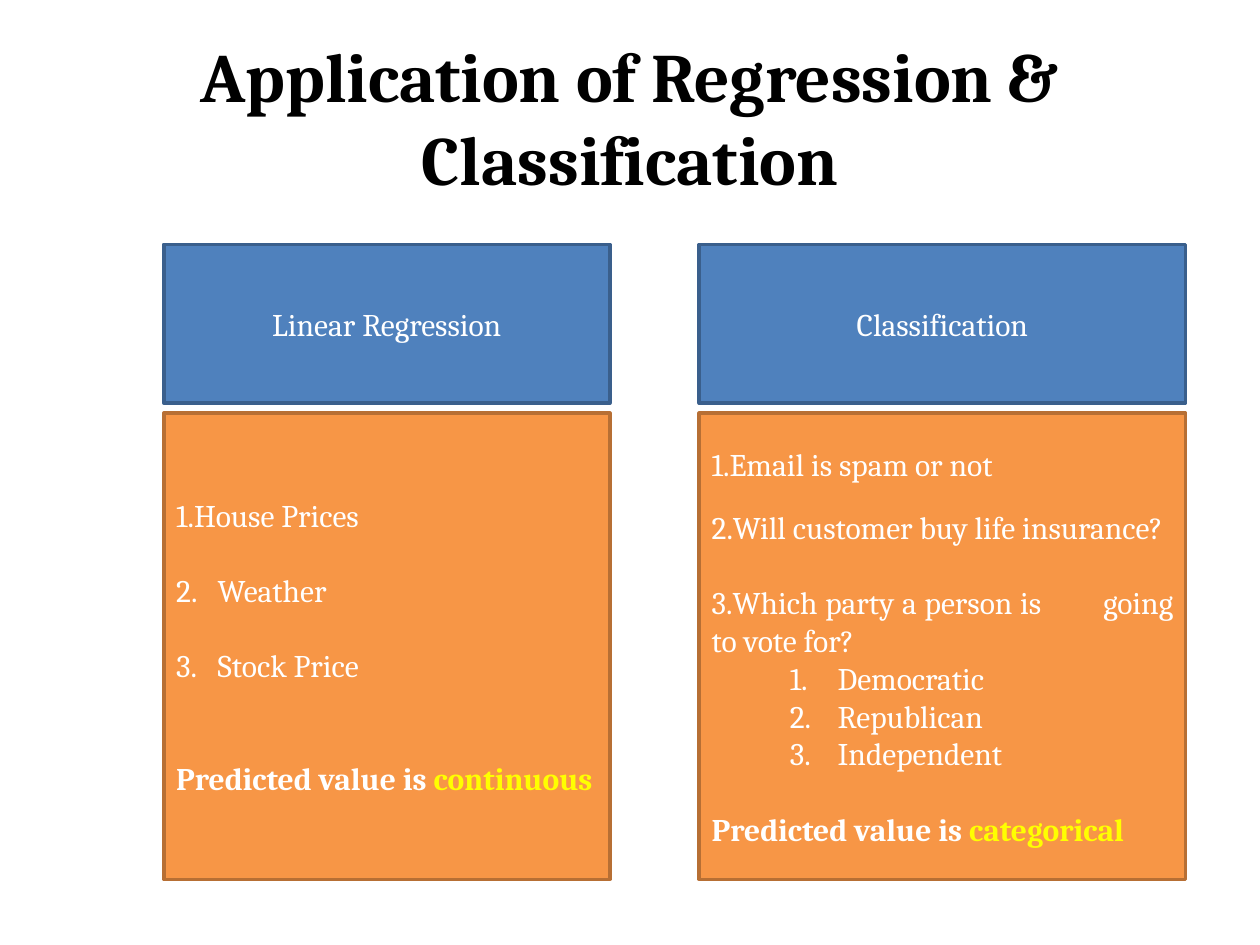
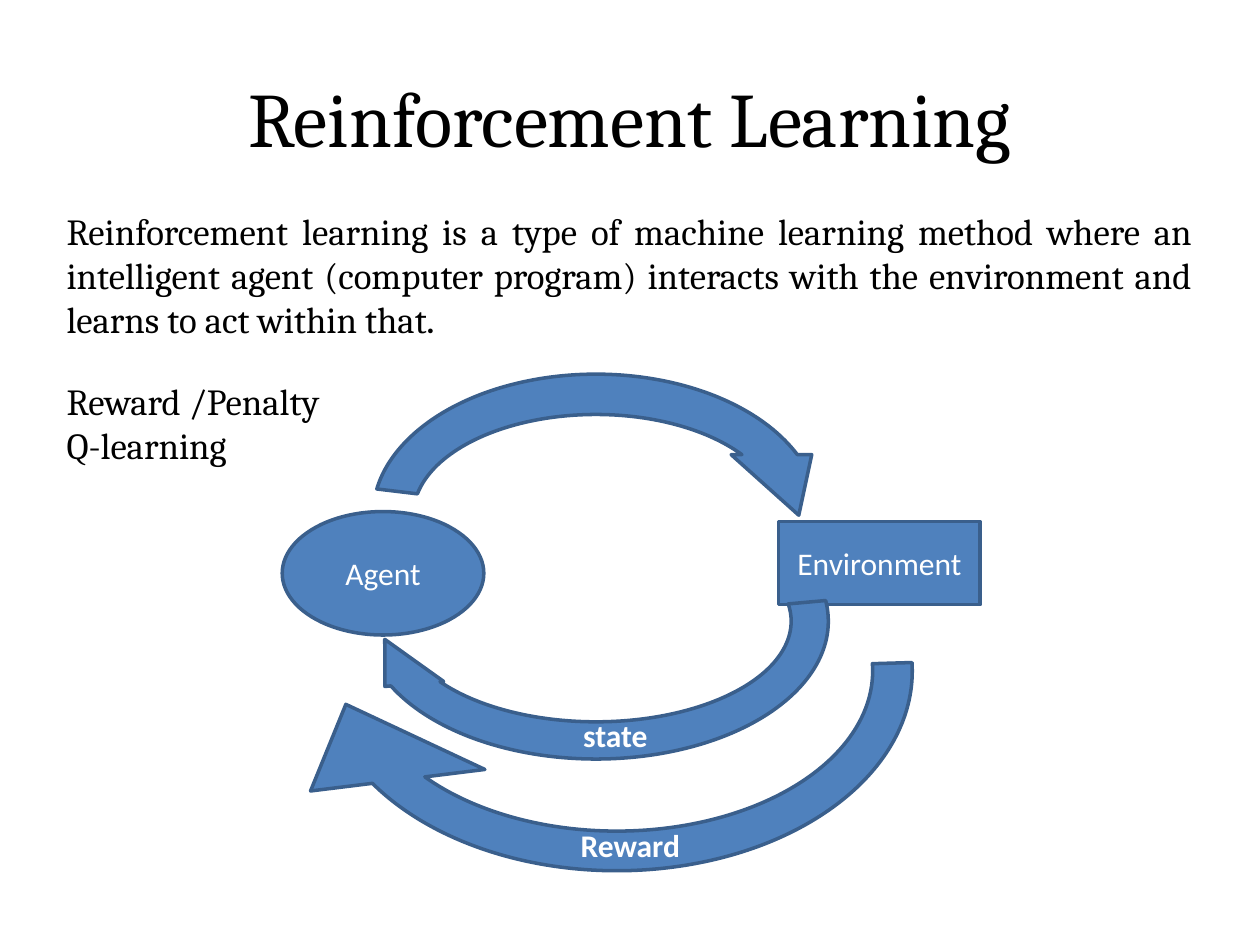
from dataclasses import dataclass
from typing import NamedTuple

from lxml.etree import SubElement
from pptx import Presentation
from pptx.dml.color import RGBColor
from pptx.enum.shapes import MSO_SHAPE as Preset
from pptx.enum.text import MSO_ANCHOR as Anchor, PP_ALIGN as Align
from pptx.oxml.ns import qn
from pptx.util import Inches, Pt

COLORS = {
    "ink": "000000", "white": "FFFFFF", "highlight": "FFFF00",
    "blue": "4F81BD", "blue_edge": "3A5F8C",
    "orange": "F79646", "orange_edge": "B76F34",
}
SERIF, SANS = "Cambria", "Calibri"
TITLE_ONLY = 5
LINE_GAP, SMALL_GAP = 21.5, 14.3


class Box(NamedTuple):
    left: float
    top: float
    width: float
    height: float

    def lengths(self) -> list:
        return [Inches(value) for value in self]


class Run(NamedTuple):
    text: str
    bold: bool = False
    italic: bool = False
    color: str | None = None
    font: str | None = None
    size: float | None = None


@dataclass
class Line:
    runs: list[Run]
    before: float = 0
    number: int = 0
    margin: float = 0
    indent: float = 0
    level: int = 0
    tab: float = 0


@dataclass
class Column:
    left: float
    width: float
    heading: str
    lines: list[Line]


@dataclass
class LoopArrow:
    box: Box
    thickness: float
    head_angle: float
    end_angle: float
    start_angle: float
    head_width: float
    rotation: int = 0


def item(number: int, text: str, **layout) -> Line:
    return Line([Run(text)], number=number, **layout)


def verdict(kind: str, before: float) -> Line:
    runs = [Run("Predicted value is ", bold=True),
            Run(kind, bold=True, color="highlight")]
    return Line(runs, before=before)


FLUSH = {"indent": -0.38}
HANGING = {"margin": 0.33, "indent": -0.33}
NESTED = {"margin": 1, "indent": -0.38, "level": 3}
PARTIES = ["Democratic", "Republican", "Independent"]

COLUMNS = [
    Column(1.3, 3.54, "Linear Regression", [
        item(1, "House Prices", **FLUSH),
        item(2, "Weather", before=LINE_GAP, **HANGING),
        item(3, "Stock Price", before=LINE_GAP, **HANGING),
        verdict("continuous", 2 * LINE_GAP),
    ]),
    Column(5.55, 3.86, "Classification", [
        item(1, "Email is spam or not", **FLUSH),
        item(2, "Will customer buy life insurance?", before=SMALL_GAP, **FLUSH),
        item(3, "Which party a person is\tgoing to vote for?",
             before=LINE_GAP, tab=3.08, **FLUSH),
        *[item(n, party, **NESTED) for n, party in enumerate(PARTIES, 1)],
        verdict("categorical", LINE_GAP),
    ]),
]

DEFINITION = [
    Line([Run("Reinforcement learning is a type of machine learning method where "
              "an intelligent agent (computer program) interacts with the "
              "environment and learns to act within that"),
          Run(".", bold=True, italic=True, font=SANS, size=18)]),
    Line([Run("Reward /Penalty")], before=LINE_GAP),
    Line([Run("Q-learning")]),
]

LOOP_ARROWS = [
    LoopArrow(Box(2.8, 2.81, 3.86, 2.56), 12.5, 19.04, 340.96, 186.84, 12.5),
    LoopArrow(Box(2.01, 3.2, 5.77, 4.25), 7.4, 19.47, 333.5, 178.36, 16.4, 180),
    LoopArrow(Box(2.8, 3.75, 3.86, 2.36), 12.5, 14.13, 340.96, 174.86, 9.9, 180),
]


def rgb(name: str) -> RGBColor:
    return RGBColor.from_string(COLORS[name])


def format_list(paragraph, line: Line) -> None:
    paragraph.level = line.level
    properties = paragraph._p.get_or_add_pPr()
    properties.set("marL", str(Inches(line.margin)))
    properties.set("indent", str(Inches(line.indent)))
    if line.number:
        SubElement(properties, qn("a:buFont"), typeface="+mj-lt")
        SubElement(properties, qn("a:buAutoNum"), type="arabicPeriod",
                   startAt=str(line.number))
    if line.tab:
        stops = SubElement(properties, qn("a:tabLst"))
        SubElement(stops, qn("a:tab"), pos=str(Inches(line.tab)), algn="l")


def write(shape, text: str | list[Line], *, size: float = 18, font: str = SERIF,
          color: str = "white", bold: bool = False, align=Align.CENTER,
          anchor=Anchor.MIDDLE, wrap: bool = True) -> None:
    """Fill a shape with a plain string or with formatted lines."""
    frame = shape.text_frame
    frame.word_wrap = wrap
    frame.vertical_anchor = anchor
    lines = [Line([Run(text, bold)])] if isinstance(text, str) else text
    for index, line in enumerate(lines):
        paragraph = frame.add_paragraph() if index else frame.paragraphs[0]
        paragraph.alignment = align
        paragraph.space_before = Pt(line.before)
        format_list(paragraph, line)
        for part in line.runs:
            run = paragraph.add_run()
            run.text = part.text
            run.font.name = part.font or font
            run.font.size = Pt(part.size or size)
            run.font.bold = part.bold
            run.font.italic = part.italic
            run.font.color.rgb = rgb(part.color or color)


def add_block(slide, preset, box: Box, color: str = "blue"):
    block = slide.shapes.add_shape(preset, *box.lengths())
    block.shadow.inherit = False
    block.fill.solid()
    block.fill.fore_color.rgb = rgb(color)
    block.line.color.rgb = rgb(f"{color}_edge")
    block.line.width = Pt(2)
    return block


def add_loop_arrow(slide, arrow: LoopArrow) -> None:
    shape = add_block(slide, Preset.CIRCULAR_ARROW, arrow.box)
    shape.rotation = arrow.rotation
    angles = [arrow.head_angle, arrow.end_angle, arrow.start_angle]
    values = [arrow.thickness / 100, *[angle * 0.6 for angle in angles],
              arrow.head_width / 100]
    for index, value in enumerate(values):
        shape.adjustments[index] = value


def add_titled_slide(deck, title: str, **style):
    slide = deck.slides.add_slide(deck.slide_layouts[TITLE_ONLY])
    heading = slide.shapes.title
    heading.left, heading.top, heading.width, heading.height = Box(
        0.5, 0.3, 9, 1.25).lengths()
    write(heading, title, color="ink", **style)
    return slide


def build_applications(deck) -> None:
    slide = add_titled_slide(deck, "Application of Regression & Classification",
                             size=39.6, bold=True)
    for column in COLUMNS:
        header = add_block(slide, Preset.RECTANGLE,
                           Box(column.left, 1.94, column.width, 1.26))
        write(header, column.heading)
        examples = add_block(slide, Preset.RECTANGLE,
                             Box(column.left, 3.28, column.width, 3.7), "orange")
        write(examples, column.lines, align=Align.JUSTIFY)


def build_reinforcement(deck) -> None:
    slide = add_titled_slide(deck, "Reinforcement Learning", size=44)
    definition = slide.shapes.add_textbox(*Box(0.43, 1.61, 9.13, 2.17).lengths())
    write(definition, DEFINITION, size=21, color="ink", align=Align.JUSTIFY,
          anchor=Anchor.TOP)
    agent = add_block(slide, Preset.OVAL, Box(2.24, 4.06, 1.6, 0.98))
    write(agent, "Agent", font=SANS)
    environment = add_block(slide, Preset.RECTANGLE, Box(6.18, 4.14, 1.6, 0.66))
    write(environment, "Environment", font=SANS)
    for arrow in LOOP_ARROWS:
        add_loop_arrow(slide, arrow)
    for signal, box in [("state", Box(4.53, 5.63, 0.9, 0.4)),
                        ("Reward", Box(4.51, 6.51, 1, 0.4))]:
        label = slide.shapes.add_textbox(*box.lengths())
        write(label, signal, font=SANS, bold=True, align=Align.LEFT,
              anchor=Anchor.TOP, wrap=False)


def main() -> None:
    deck = Presentation()
    deck.slide_width, deck.slide_height = Inches(10), Inches(7.5)
    build_applications(deck)
    build_reinforcement(deck)
    deck.save("out.pptx")


if __name__ == "__main__":
    main()
